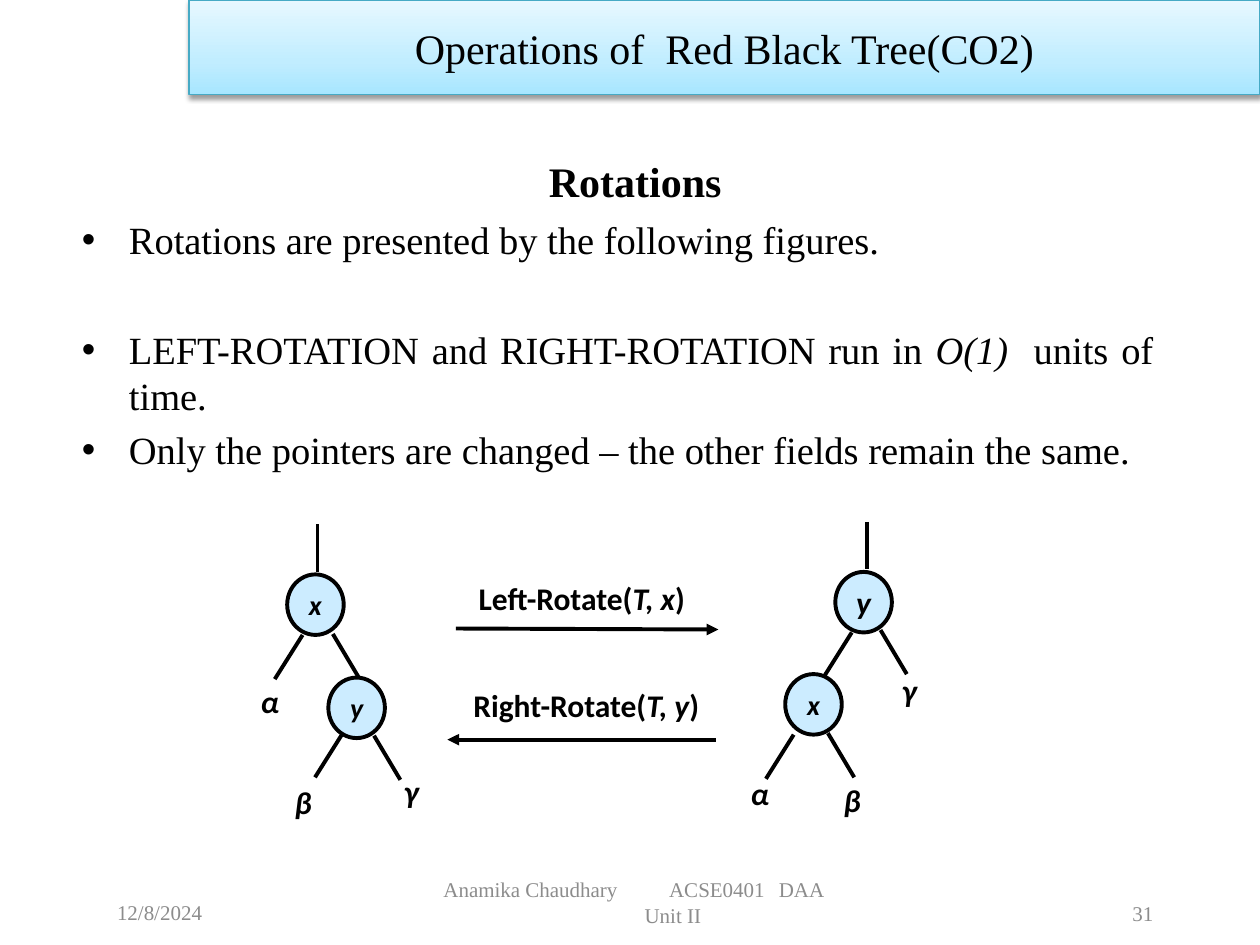
import pptx
import pptx.util
import pptx.dml.color
import pptx.enum.shapes
import pptx.enum.text
import pptx.oxml
import pptx.oxml.ns
from lxml import etree

Cm, Pt = pptx.util.Cm, pptx.util.Pt
ALIGN = pptx.enum.text.PP_ALIGN
ANCHOR = pptx.enum.text.MSO_ANCHOR
SHAPE = pptx.enum.shapes.MSO_SHAPE

THEME = {
    "serif": "Times New Roman", "sans": "Calibri",
    "ink": "000000", "muted": "8C8C8C", "node": "CCECFF", "banner_line": "46AAC5",
    "banner_stops": [(0, "A7E6FF"), (35, "C1EDFF"), (100, "E7F8FF")],
    "heading": 24, "body": 22, "label": 18, "node_text": 16, "footer": 12,
    "line": 2.25,
}

# Content: a paragraph is a list of (text, italic) runs; positions are in cm
BANNER = "Operations of  Red Black Tree(CO2)"
HEADING = "Rotations"
BULLETS = [  # space before in points, runs
    (0, [("Rotations are presented by the following figures.", False)]),
    (36, [("LEFT-ROTATION and RIGHT-ROTATION run in ", False), ("O(1) ", True),
          (" units of time.", False)]),
    (4.4, [("Only the pointers are changed – the other fields remain the same.", False)]),
]
TREES = [
    {"stem": (6.40, 10.57),
     "nodes": [  # name, size, centre, start of left edge, start of right edge
         ("x", 16, (6.36, 12.19), (6.10, 12.80), (6.71, 12.78)),
         ("y", 16, (7.19, 14.27), (6.91, 14.78), (7.54, 14.83))],
     "subtrees": [("α", (5.44, 14.14)), ("β", (6.11, 16.17)), ("γ", (8.29, 15.94))]},
    {"stem": (17.48, 10.52),
     "nodes": [
         ("y", 18, (17.41, 12.14), (17.17, 12.75), (17.75, 12.70)),
         ("x", 16, (16.40, 14.20), (16.00, 14.81), (16.69, 14.78))],
     "subtrees": [("α", (15.32, 15.99)), ("β", (17.18, 16.12)), ("γ", (18.33, 13.91))]},
]
ROTATIONS = [  # runs, label centre, arrow start, arrow end
    ([("Left-Rotate(", False), ("T, x", True), (")", False)],
     (11.73, 12.05), (9.19, 12.67), (14.48, 12.69)),
    ([("Right-Rotate(", False), ("T, y", True), (")", False)],
     (11.82, 14.21), (14.43, 14.91), (9.02, 14.91)),
]
DATE, NUMBER = "12/8/2024", "31"
COURSE, UNIT = "Anamika Chaudhary\tACSE0401\tDAA", "Unit II"
COURSE_TABS = (4.55, 6.76)

NODE_WIDTH, NODE_HEIGHT = 1.14, 1.22
LEFT_EDGE, RIGHT_EDGE, STEM = (-0.56, 0.89), (0.53, 0.89), (0, 0.96)


def rgb(name):
    return pptx.dml.color.RGBColor.from_string(THEME[name])


def add_child(parent, tag, **attributes):
    child = etree.SubElement(parent, pptx.oxml.ns.qn(tag))
    for key, value in attributes.items():
        child.set(key, str(value))
    return child


def write(paragraph, runs, size, font="serif", color="ink", bold=False,
          align=ALIGN.CENTER, before=0):
    paragraph.alignment = align
    paragraph.space_before = Pt(before)
    if isinstance(runs, str):
        runs = [(runs, False)]
    for text, italic in runs:
        run = paragraph.add_run()
        run.text = text
        run.font.name = THEME[font]
        run.font.size = Pt(size)
        run.font.bold, run.font.italic = bold, italic
        run.font.color.rgb = rgb(color)


def add_box(left, top, width, height, wrap=True, anchor=ANCHOR.MIDDLE):
    box = slide.shapes.add_textbox(Cm(left), Cm(top), Cm(width), Cm(height))
    box.text_frame.word_wrap = wrap
    box.text_frame.vertical_anchor = anchor
    return box.text_frame


def add_label(runs, centre, width):
    height = 1.4
    frame = add_box(centre[0] - width / 2, centre[1] - height / 2, width, height, wrap=False)
    write(frame.paragraphs[0], runs, THEME["label"], font="sans", bold=True)


def add_line(start, end, arrow=False):
    line = slide.shapes.add_connector(
        pptx.enum.shapes.MSO_CONNECTOR.STRAIGHT, *[Cm(value) for value in (*start, *end)])
    line.line.color.rgb = rgb("ink")
    line.line.width = Pt(THEME["line"])
    if arrow:
        add_child(line.line._get_or_add_ln(), "a:tailEnd", type="triangle")
    add_child(line._element.spPr, "a:effectLst")


def add_edge(start, step):
    add_line(start, (start[0] + step[0], start[1] + step[1]))


def add_node(name, size, centre):
    node = slide.shapes.add_shape(
        SHAPE.OVAL, Cm(centre[0] - NODE_WIDTH / 2), Cm(centre[1] - NODE_HEIGHT / 2),
        Cm(NODE_WIDTH), Cm(NODE_HEIGHT))
    node.shadow.inherit = False
    node.fill.solid()
    node.fill.fore_color.rgb = rgb("node")
    node.line.color.rgb = rgb("ink")
    node.line.width = Pt(THEME["line"])
    node.text_frame.word_wrap = False
    node.text_frame.vertical_anchor = ANCHOR.MIDDLE
    write(node.text_frame.paragraphs[0], [(name, True)], size, font="sans", bold=True)


presentation = pptx.Presentation()
presentation.slide_width, presentation.slide_height = Cm(25.4), Cm(19.05)
slide = presentation.slides.add_slide(presentation.slide_layouts[5])

# Heading
title = slide.shapes.title
title.left, title.top, title.width, title.height = Cm(2.11), Cm(3.12), Cm(21.39), Cm(1.04)
title.text_frame.vertical_anchor = ANCHOR.MIDDLE
write(title.text_frame.paragraphs[0], HEADING, THEME["heading"], bold=True)

# Bullets
body = add_box(1.4, 4.24, 22.1, 5.97, anchor=ANCHOR.TOP)
for index, (before, runs) in enumerate(BULLETS):
    paragraph = body.add_paragraph() if index else body.paragraphs[0]
    write(paragraph, runs, THEME["body"], align=ALIGN.JUSTIFY, before=before)
    properties = paragraph._p.get_or_add_pPr()
    properties.set("marL", str(Cm(0.95)))
    properties.set("indent", str(-Cm(0.95)))
    add_child(properties, "a:buFont", typeface="Arial")
    add_child(properties, "a:buChar", char="•")

# Trees before and after rotation
for tree in TREES:
    add_edge(tree["stem"], STEM)
    for name, size, centre, left_start, right_start in tree["nodes"]:
        add_node(name, size, centre)
        add_edge(left_start, LEFT_EDGE)
        add_edge(right_start, RIGHT_EDGE)
    for name, centre in tree["subtrees"]:
        add_label([(name, True)], centre, 1.3)

# Rotation arrows
for runs, centre, start, end in ROTATIONS:
    add_line(start, end, arrow=True)
    add_label(runs, centre, 6.5)

# Footer
footer = {"size": THEME["footer"], "color": "muted"}
write(add_box(2.11, 17.75, 5.72, 1.27).paragraphs[0], DATE, align=ALIGN.LEFT, **footer)
write(add_box(19.05, 17.78, 4.45, 1.27).paragraphs[0], NUMBER, align=ALIGN.RIGHT, **footer)
course = add_box(8.94, 17.55, 9.25, 1.27)
course.margin_left = course.margin_right = 0
write(course.paragraphs[0], COURSE, align=ALIGN.LEFT, **footer)
tabs = add_child(course.paragraphs[0]._p.get_or_add_pPr(), "a:tabLst")
for position in COURSE_TABS:
    add_child(tabs, "a:tab", pos=Cm(position), algn="l")
write(course.add_paragraph(), UNIT, **footer)

# Banner
banner = slide.shapes.add_shape(SHAPE.RECTANGLE, Cm(3.81), 0, Cm(21.59), Cm(1.91))
banner.fill.gradient()
banner.fill.gradient_angle = 90
stops = banner._element.spPr.find(".//" + pptx.oxml.ns.qn("a:gsLst"))
for stop in list(stops):
    stops.remove(stop)
for position, color in THEME["banner_stops"]:
    add_child(add_child(stops, "a:gs", pos=position * 1000), "a:srgbClr", val=color)
banner.line.color.rgb = rgb("banner_line")
banner.line.width = Pt(0.75)
banner.shadow.inherit = False
effects = banner._element.spPr.find(pptx.oxml.ns.qn("a:effectLst"))
shadow = add_child(effects, "a:outerShdw", blurRad=Pt(3.1), dist=Pt(1.6),
                   dir=90 * 60000, rotWithShape=0)
add_child(add_child(shadow, "a:srgbClr", val=THEME["ink"]), "a:alpha", val=38000)
banner.text_frame.vertical_anchor = ANCHOR.MIDDLE
write(banner.text_frame.paragraphs[0], BANNER, THEME["heading"])

presentation.save("out.pptx")
